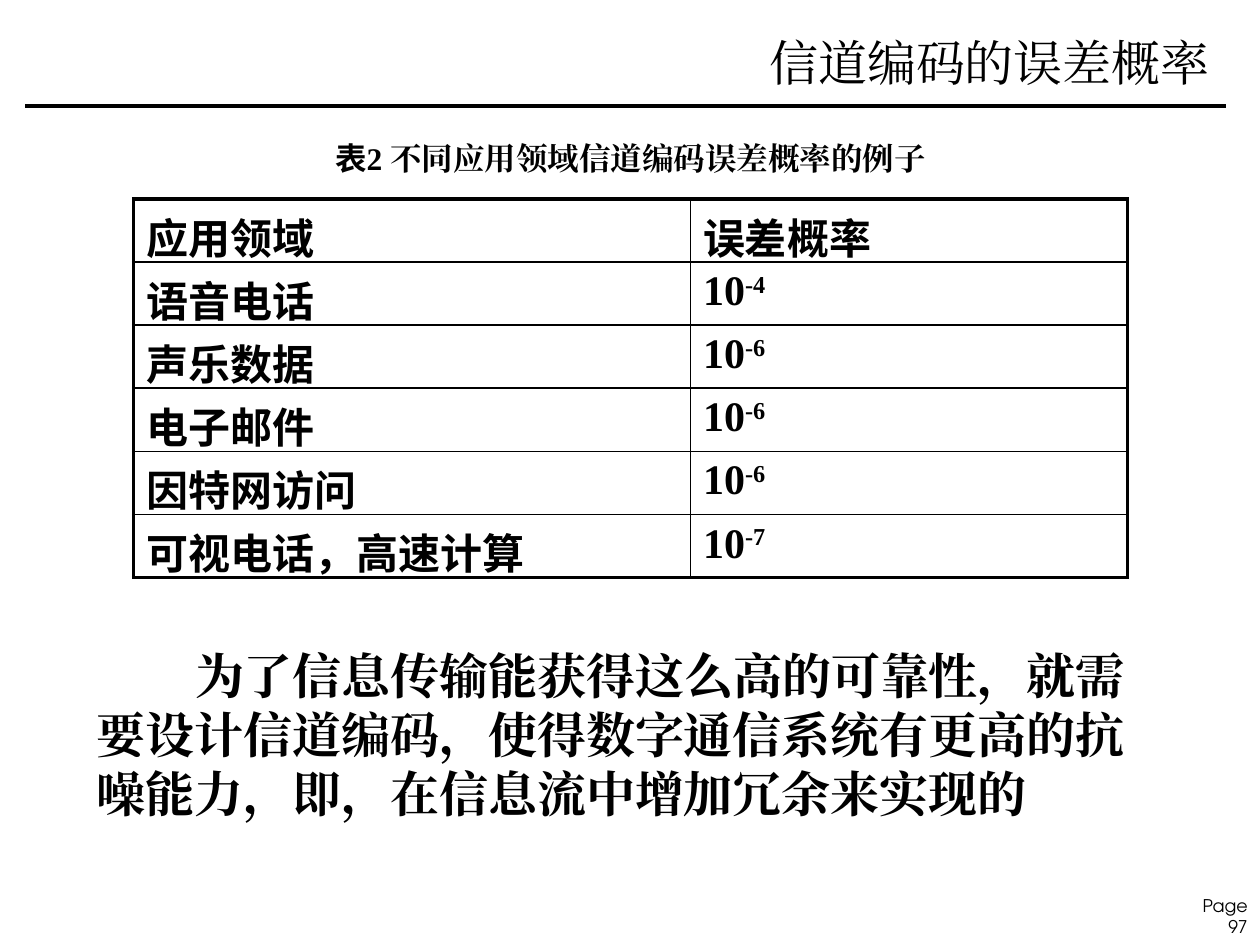
"""Build the slide on error probabilities in channel coding."""
import dataclasses
import typing

import pptx
import pptx.dml.color
import pptx.enum.shapes
import pptx.enum.text
import pptx.oxml
import pptx.oxml.ns
import pptx.util

WIDTH, HEIGHT = 10, 7.5
BLACK = "000000"
SANS, SERIF, PAGE_FONT = "Noto Sans CJK SC", "Times New Roman", "TeX Gyre Adventor"
RIGHT = pptx.enum.text.PP_ALIGN.RIGHT
THICK, THIN = 2.25, 1
COLUMN_WIDTHS = (4.42, 3.47)
ROW_HEIGHT = 0.5


@dataclasses.dataclass(frozen=True)
class Box:
    left: float
    top: float
    width: float
    height: float

    def lengths(self) -> list[pptx.util.Length]:
        shares = (self.left * WIDTH, self.top * HEIGHT, self.width * WIDTH, self.height * HEIGHT)
        return [pptx.util.Inches(share) for share in shares]


@dataclasses.dataclass(frozen=True)
class Application:
    name: str
    exponent: str


APPLICATIONS = (
    Application("语音电话", "-4"),
    Application("声乐数据", "-6"),
    Application("电子邮件", "-6"),
    Application("因特网访问", "-6"),
    Application("可视电话，高速计算", "-7"),
)


def color(value: str) -> pptx.dml.color.RGBColor:
    return pptx.dml.color.RGBColor.from_string(value)


def add_run(paragraph, text: str, *, size: float, font: str, bold: bool = False,
            baseline: int = 0) -> None:
    run = paragraph.add_run()
    run.text = text
    run.font.size = pptx.util.Pt(size)
    run.font.name = font
    run.font.bold = bold
    run.font.color.rgb = color(BLACK)
    properties = run.font._element
    east_asian = pptx.oxml.parse_xml(f'<a:ea {pptx.oxml.ns.nsdecls("a")} typeface="{font}"/>')
    properties.find(pptx.oxml.ns.qn("a:latin")).addnext(east_asian)
    if baseline:
        properties.set("baseline", str(baseline * 1000))


def add_text(slide, box: Box, text: str, *, align=None, indent: float = 0,
             margin_left: float = 0.1, **run_format):
    frame = slide.shapes.add_textbox(*box.lengths()).text_frame
    frame.word_wrap = True
    frame.margin_left = pptx.util.Inches(margin_left)
    paragraph = frame.paragraphs[0]
    paragraph.alignment = align
    if indent:
        paragraph._p.get_or_add_pPr().set("indent", str(pptx.util.Inches(indent)))
    add_run(paragraph, text, **run_format)
    return paragraph


def set_border(cell, side: str, width: float) -> None:
    cell._tc.get_or_add_tcPr().append(pptx.oxml.parse_xml(
        f'<a:ln{side} {pptx.oxml.ns.nsdecls("a")} w="{pptx.util.Pt(width)}">'
        f'<a:solidFill><a:srgbClr val="{BLACK}"/></a:solidFill></a:ln{side}>'))


def add_probability_table(slide, applications: typing.Sequence[Application]) -> None:
    row_count, column_count = len(applications) + 1, len(COLUMN_WIDTHS)
    box = Box(0.106, 1.58 / HEIGHT, sum(COLUMN_WIDTHS) / WIDTH, row_count * ROW_HEIGHT / HEIGHT)
    table = slide.shapes.add_table(row_count, column_count, *box.lengths()).table
    table.first_row = table.horz_banding = False
    for column, width in zip(table.columns, COLUMN_WIDTHS):
        column.width = pptx.util.Inches(width)
    names = ["应用领域"] + [application.name for application in applications]
    for row, name in enumerate(names):
        table.rows[row].height = pptx.util.Inches(ROW_HEIGHT)
        add_run(table.cell(row, 0).text_frame.paragraphs[0], name, size=24, font=SANS, bold=True)
        paragraph = table.cell(row, 1).text_frame.paragraphs[0]
        if row == 0:
            add_run(paragraph, "误差概率", size=24, font=SANS, bold=True)
        else:
            add_run(paragraph, "10", size=24, font=SERIF, bold=True)
            add_run(paragraph, applications[row - 1].exponent, size=24, font=SERIF,
                    bold=True, baseline=30)
        for column in range(column_count):
            cell = table.cell(row, column)
            outer = {"L": column == 0, "R": column == column_count - 1,
                     "T": row == 0, "B": row == row_count - 1}
            for side, is_outer in outer.items():
                set_border(cell, side, THICK if is_outer else THIN)
            cell.fill.background()


def add_rule(slide, left: float, right: float, top: float) -> None:
    start_x, end_x = (pptx.util.Inches(share * WIDTH) for share in (left, right))
    level = pptx.util.Inches(top * HEIGHT)
    rule = slide.shapes.add_connector(
        pptx.enum.shapes.MSO_CONNECTOR.STRAIGHT, start_x, level, end_x, level)
    rule.line.color.rgb = color(BLACK)
    rule.line.width = pptx.util.Pt(2)
    rule._element.spPr.append(
        pptx.oxml.parse_xml(f'<a:effectLst {pptx.oxml.ns.nsdecls("a")}/>'))


def set_title(slide, box: Box, text: str) -> None:
    title = slide.shapes.title
    title.left, title.top, title.width, title.height = box.lengths()
    title.text_frame.vertical_anchor = pptx.enum.text.MSO_ANCHOR.MIDDLE
    paragraph = title.text_frame.paragraphs[0]
    paragraph.alignment = RIGHT
    add_run(paragraph, text, size=28, font=SERIF)


def main() -> None:
    presentation = pptx.Presentation()
    presentation.slide_width = pptx.util.Inches(WIDTH)
    presentation.slide_height = pptx.util.Inches(HEIGHT)
    slide = presentation.slides.add_slide(presentation.slide_layouts[5])
    slide.background.fill.solid()
    slide.background.fill.fore_color.rgb = color("FFFFFF")
    add_text(slide, Box(0.92, 0.941, 0.08, 0.035), "Page 97", align=RIGHT, margin_left=0.25,
             size=10, font=PAGE_FONT)
    add_rule(slide, 0.02, 0.973, 0.112)
    set_title(slide, Box(0.32, 0.015, 0.65, 0.1), "信道编码的误差概率")
    add_probability_table(slide, APPLICATIONS)
    add_text(slide, Box(0.067, 0.677, 0.866, 0.209),
             "为了信息传输能获得这么高的可靠性，就需要设计信道编码，使得数字通信系统有更高的抗噪能力，"
             "即，在信息流中增加冗余来实现的", indent=0.78, size=28, font=SERIF, bold=True)
    caption = add_text(slide, Box(0.25, 0.141, 0.535, 0.053), "表", margin_left=0.16,
                       size=18, font=SANS, bold=True)
    add_run(caption, "2 不同应用领域信道编码误差概率的例子", size=18, font=SERIF, bold=True)
    presentation.save("out.pptx")


if __name__ == "__main__":
    main()
